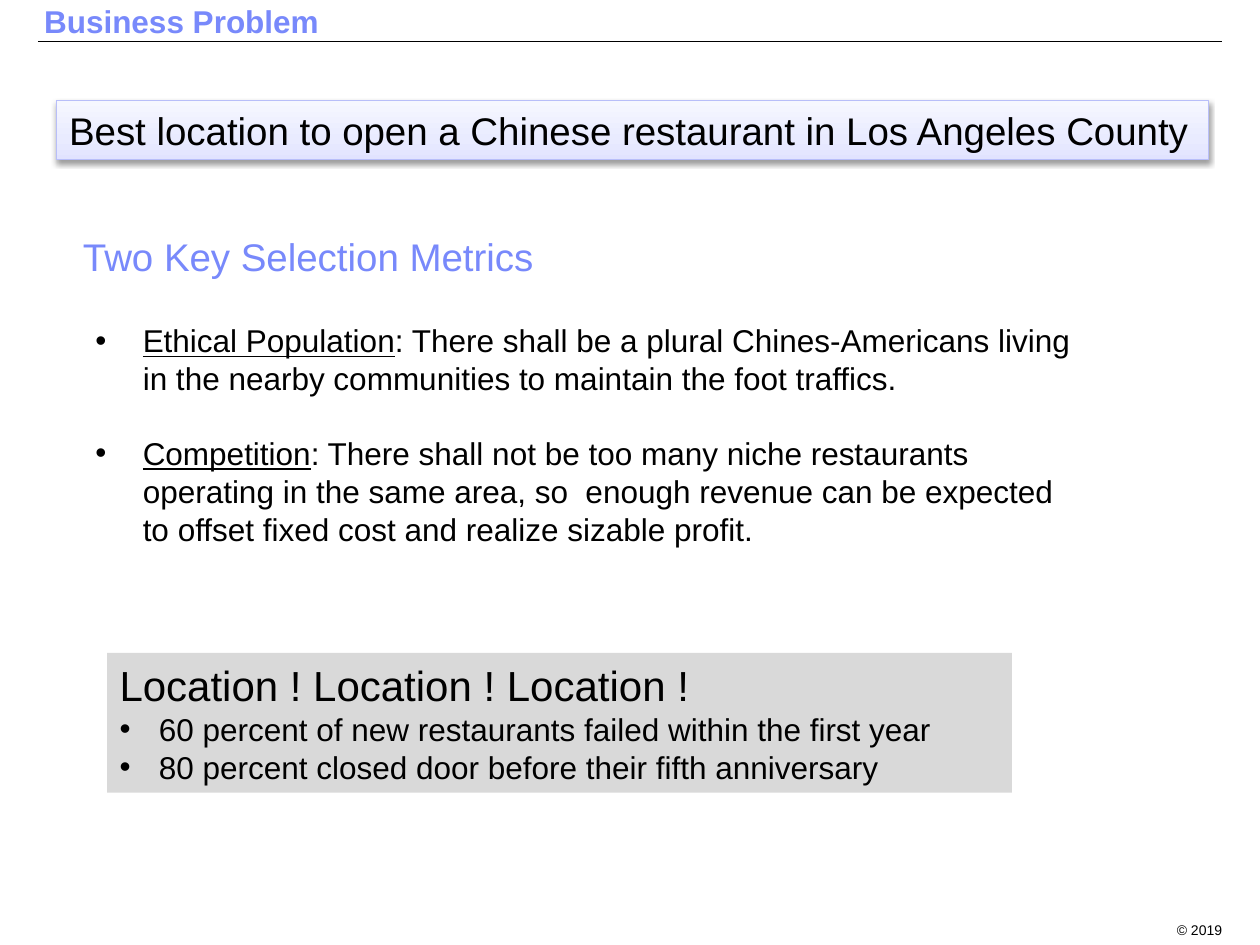
import copy

import lxml.etree
import pptx
import pptx.dml.color
import pptx.enum.shapes
import pptx.enum.text
import pptx.oxml
import pptx.oxml.ns
import pptx.util

Pt = pptx.util.Pt
qn = pptx.oxml.ns.qn

FONT = "Arial"
LINE_HEIGHT = 1.207
COLORS = {
    "text": "000000",
    "accent": "7889FB",
    "callout": "D9D9D9",
    "banner_line": "B8BEF9",
    "shadow": "000000",
}
BANNER_STOPS = [(0, "E1E3FF"), (0.35, "E9EBFF"), (1, "F6F7FF")]


def rgb(value):
    return pptx.dml.color.RGBColor.from_string(value)


def add_bullet(paragraph, indent):
    properties = paragraph._p.get_or_add_pPr()
    properties.set("marL", str(Pt(indent)))
    properties.set("indent", str(-Pt(indent)))
    font = lxml.etree.SubElement(properties, qn("a:buFont"))
    font.set("typeface", FONT)
    bullet = lxml.etree.SubElement(properties, qn("a:buChar"))
    bullet.set("char", "•")


def write_text(shape, text, size=18, color="text", bold=False, lead="", indent=0,
               before=0, spacing=None, align="LEFT", first=True):
    frame = shape.text_frame
    if first:
        frame.word_wrap = True
        frame.auto_size = pptx.enum.text.MSO_AUTO_SIZE.NONE
        frame.vertical_anchor = pptx.enum.text.MSO_ANCHOR.TOP
    paragraph = frame.paragraphs[0] if first else frame.add_paragraph()
    paragraph.alignment = getattr(pptx.enum.text.PP_ALIGN, align)
    paragraph.line_spacing = spacing or Pt(round(size * LINE_HEIGHT, 1))
    paragraph.space_before = Pt(before)
    paragraph.space_after = Pt(0)
    if indent:
        add_bullet(paragraph, indent)
    for content, underline in ((lead, True), (text, False)):
        if content:
            run = paragraph.add_run()
            run.text = content
            run.font.name = FONT
            run.font.size = Pt(size)
            run.font.bold = bold
            run.font.underline = underline
            run.font.color.rgb = rgb(COLORS[color])


def add_text_box(slide, left, top, width, height):
    return slide.shapes.add_textbox(Pt(left), Pt(top), Pt(width), Pt(height))


def add_box(slide, left, top, width, height):
    shape = slide.shapes.add_shape(
        pptx.enum.shapes.MSO_SHAPE.RECTANGLE, Pt(left), Pt(top), Pt(width), Pt(height))
    shape.shadow.inherit = False
    shape.line.fill.background()
    return shape


def add_rule(slide, left, right, top):
    rule = slide.shapes.add_connector(
        pptx.enum.shapes.MSO_CONNECTOR.STRAIGHT, Pt(left), Pt(top), Pt(right), Pt(top))
    rule.line.color.rgb = rgb(COLORS["text"])
    rule.line.width = Pt(0.75)
    lxml.etree.SubElement(rule._element.spPr, qn("a:effectLst"))


def fill_gradient(shape, stops):
    shape.fill.gradient()
    shape.fill.gradient_angle = 90
    stop_list = shape._element.spPr.find(".//" + qn("a:gsLst"))
    stop_list.append(copy.deepcopy(stop_list[-1]))
    for stop, (position, color) in zip(shape.fill.gradient_stops, stops):
        stop.position = position
        stop.color.rgb = rgb(color)


def add_shadow(shape, blur, distance, opacity):
    effects = shape._element.spPr.find(qn("a:effectLst"))
    shadow = lxml.etree.SubElement(effects, qn("a:outerShdw"))
    for name, value in (("blurRad", Pt(blur)), ("dist", Pt(distance)),
                        ("dir", 90 * 60000), ("rotWithShape", 0)):
        shadow.set(name, str(value))
    color = lxml.etree.SubElement(shadow, qn("a:srgbClr"))
    color.set("val", COLORS["shadow"])
    lxml.etree.SubElement(color, qn("a:alpha")).set("val", str(opacity * 1000))


def add_title(slide):
    title = slide.shapes.title
    title.left, title.top, title.width, title.height = Pt(18), Pt(0), Pt(684), Pt(50.4)
    write_text(title, "Business Problem", color="accent", bold=True, spacing=0.9)


def add_banner(slide):
    banner = add_box(slide, 32.4, 57.6, 658.1, 33.8)
    fill_gradient(banner, BANNER_STOPS)
    banner.line.color.rgb = rgb(COLORS["banner_line"])
    banner.line.width = Pt(0.75)
    add_shadow(banner, blur=3.1, distance=1.6, opacity=38)
    write_text(banner, "Best location to open a Chinese restaurant in Los Angeles County", size=22)


def add_metrics(slide):
    heading = add_text_box(slide, 40.3, 129.6, 279.4, 33.8)
    write_text(heading, "Two Key Selection Metrics", size=22, color="accent")
    metrics = add_text_box(slide, 47.5, 180, 581, 164.9)
    write_text(metrics, ": There shall be a plural Chines-Americans living in the nearby "
               "communities to maintain the foot traffics.",
               lead="Ethical Population", indent=27)
    write_text(metrics, ": There shall not be too many niche restaurants operating in the same "
               "area, so  enough revenue can be expected to offset fixed cost and realize "
               "sizable profit.",
               lead="Competition", indent=27, before=20.9, first=False)


def add_callout(slide):
    callout = add_box(slide, 61.2, 373, 517, 79.9)
    callout.fill.solid()
    callout.fill.fore_color.rgb = rgb(COLORS["callout"])
    write_text(callout, "Location ! Location ! Location !", size=24)
    for fact in ("60 percent of new restaurants failed within the first year",
                 "80 percent closed door before their fifth anniversary"):
        write_text(callout, fact, indent=22.5, first=False)


def main():
    presentation = pptx.Presentation()
    presentation.slide_width, presentation.slide_height = Pt(720), Pt(540)
    slide = presentation.slides.add_slide(presentation.slide_layouts[5])
    add_rule(slide, 21.6, 698.4, 23.8)
    write_text(add_text_box(slide, 597.6, 522.7, 108, 14.4), "© 2019", size=8, align="RIGHT")
    add_title(slide)
    add_callout(slide)
    add_metrics(slide)
    add_banner(slide)
    presentation.save("out.pptx")


if __name__ == "__main__":
    main()
